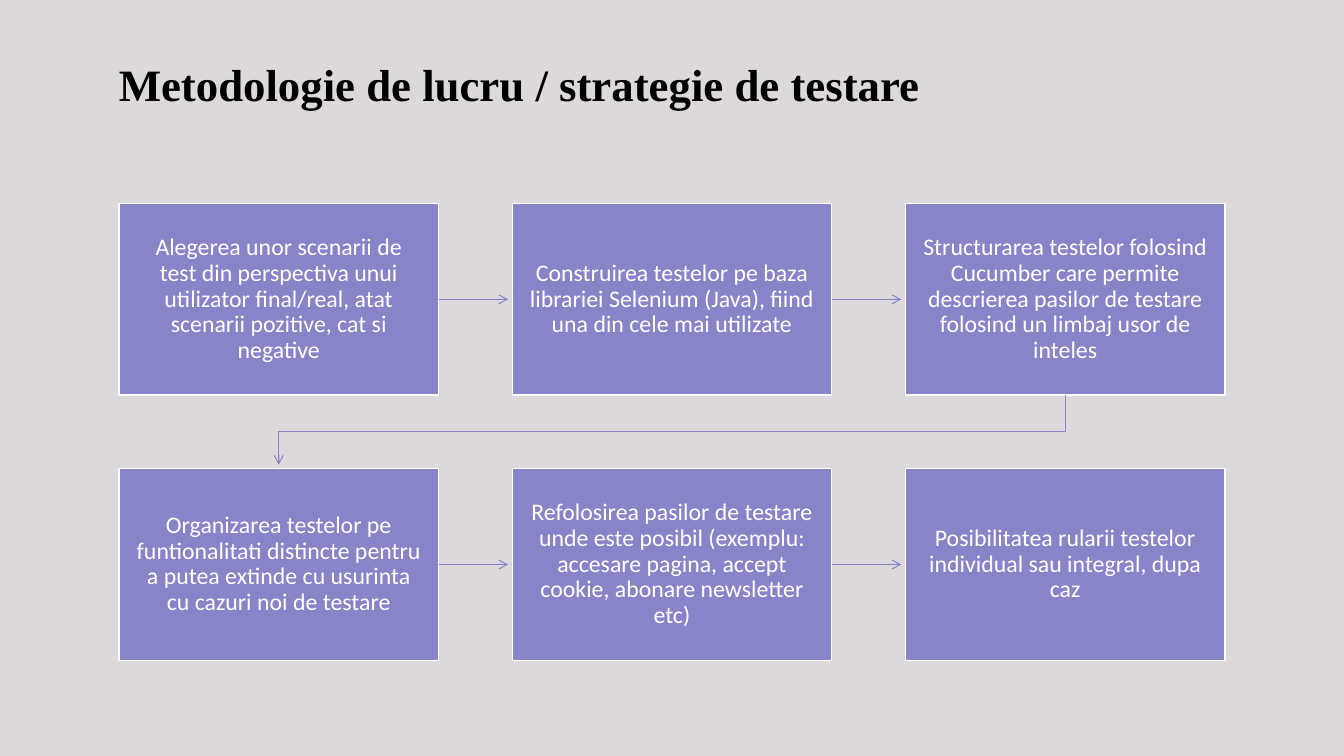
from dataclasses import dataclass

from pptx import Presentation, util as u
from pptx.dml.color import RGBColor
from pptx.enum import shapes, text
from pptx.oxml import parse_xml
from pptx.oxml.ns import nsdecls

HUES = {"back": "DCD8DC", "box": "8784C7", "light": "FFFFFF", "dark": "000000"}

# Grid of steps, in inches
COLS = 3
LEFT, TOP = 1.18, 2.02
WIDE, HIGH = 3.17, 1.9
STEP_X, STEP_Y = 3.9, 2.63
GAP = 0.04  # room between an arrowhead and the next box
INSET = 0.16


@dataclass
class Step:
    col: int
    row: int
    words: str

    @property
    def left(self) -> float:
        return LEFT + self.col * STEP_X

    @property
    def top(self) -> float:
        return TOP + self.row * STEP_Y

    @property
    def mid(self) -> float:
        return self.left + WIDE / 2


WORDS = [
    "Alegerea unor scenarii de test din perspectiva unui utilizator final/real, "
    "atat scenarii pozitive, cat si negative",
    "Construirea testelor pe baza librariei Selenium (Java), fiind una din cele mai utilizate",
    "Structurarea testelor folosind Cucumber care permite descrierea pasilor de testare "
    "folosind un limbaj usor de inteles",
    "Organizarea testelor pe funtionalitati distincte pentru a putea extinde cu usurinta "
    "cu cazuri noi de testare",
    "Refolosirea pasilor de testare unde este posibil (exemplu: accesare pagina, "
    "accept cookie, abonare newsletter etc)",
    "Posibilitatea rularii testelor individual sau integral, dupa caz",
]
STEPS = [Step(i % COLS, i // COLS, words) for i, words in enumerate(WORDS)]


def hue(name: str) -> RGBColor:
    return RGBColor.from_string(HUES[name])


def style(font, face: str, size: int, name: str, bold: bool = False) -> None:
    font.name, font.size, font.bold = face, u.Pt(size), bold
    font.color.rgb = hue(name)


def point(line) -> None:
    """Give a connector or open outline its colour, width and arrowhead."""
    line.line.color.rgb = hue("box")
    line.line.width = u.Pt(0.75)
    props = line.element.spPr
    props.get_or_add_ln().append(parse_xml(f'<a:tailEnd type="arrow" {nsdecls("a")}/>'))
    props.append(parse_xml(f'<a:effectLst {nsdecls("a")}/>'))


def draw_title(slide, words: str) -> None:
    box = slide.shapes.add_textbox(u.Inches(1.08), u.Inches(0.43), u.Inches(11.17), u.Inches(1.22))
    frame = box.text_frame
    frame.word_wrap = True
    frame.margin_top = u.Inches(0.13)
    frame.text = words
    style(frame.paragraphs[0].runs[0].font, "Times New Roman", 32, "dark", True)


def draw_step(slide, step: Step):
    box = slide.shapes.add_shape(
        shapes.MSO_SHAPE.RECTANGLE,
        u.Inches(step.left), u.Inches(step.top), u.Inches(WIDE), u.Inches(HIGH))
    box.shadow.inherit = False
    box.fill.solid()
    box.fill.fore_color.rgb = hue("box")
    box.line.color.rgb = hue("light")
    box.line.width = u.Pt(0.85)
    frame = box.text_frame
    frame.word_wrap = True
    frame.vertical_anchor = text.MSO_ANCHOR.MIDDLE
    frame.margin_left = frame.margin_right = u.Inches(INSET)
    frame.margin_top = frame.margin_bottom = u.Inches(INSET)
    frame.text = step.words
    para = frame.paragraphs[0]
    para.alignment = text.PP_ALIGN.CENTER
    para.line_spacing = 0.9
    style(para.runs[0].font, "Calibri", 17, "light")
    return box


def draw_arrow(slide, step: Step, box) -> None:
    """Arrow from the right side of a box to the next column."""
    y = u.Inches(step.top + HIGH / 2)
    line = slide.shapes.add_connector(
        shapes.MSO_CONNECTOR.STRAIGHT,
        u.Inches(step.left + WIDE), y, u.Inches(step.left + STEP_X - GAP), y)
    line.begin_connect(box, 3)
    point(line)


def draw_turn(slide, last: Step, first: Step) -> None:
    """Bent arrow from the end of one row to the start of the next."""
    base = last.top + HIGH
    half = (base + first.top) / 2
    spots = [(last.mid, base), (last.mid, half), (first.mid, half), (first.mid, first.top - GAP)]
    spots = [(u.Inches(x), u.Inches(y)) for x, y in spots]
    pen = slide.shapes.build_freeform(*spots[0])
    pen.add_line_segments(spots[1:], close=False)
    turn = pen.convert_to_shape()
    turn.fill.background()
    point(turn)


def main() -> None:
    deck = Presentation()
    deck.slide_width, deck.slide_height = u.Inches(13.33), u.Inches(7.5)
    slide = deck.slides.add_slide(deck.slide_layouts[6])
    slide.background.fill.solid()
    slide.background.fill.fore_color.rgb = hue("back")

    # Title
    draw_title(slide, "Metodologie de lucru / strategie de testare")

    # Steps and the arrows between them
    for step, after in zip(STEPS, STEPS[1:] + [None]):
        box = draw_step(slide, step)
        if after and after.row == step.row:
            draw_arrow(slide, step, box)
        elif after:
            draw_turn(slide, step, after)

    deck.save("out.pptx")


if __name__ == "__main__":
    main()
